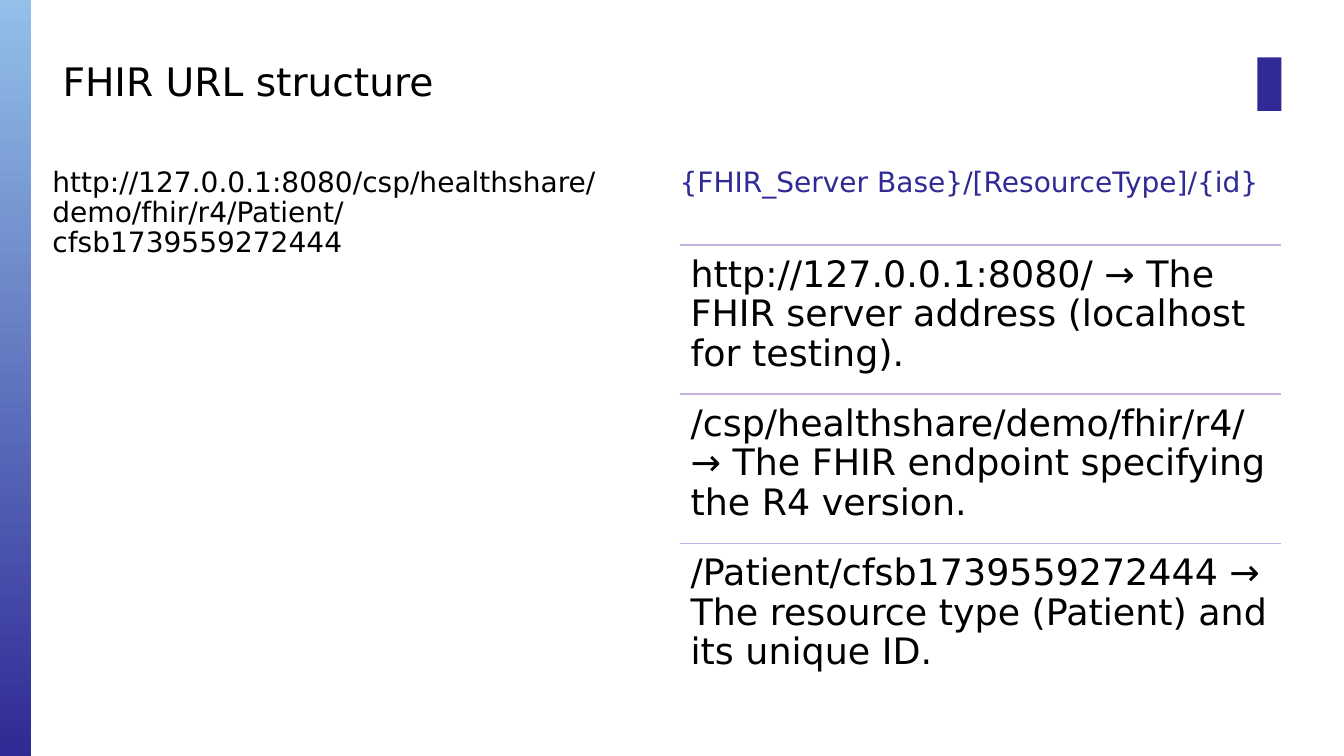
import pptx
import pptx.dml.color
import pptx.enum.shapes
import pptx.enum.text
import pptx.util
from pptx.util import Inches
import lxml.etree

FONT = "DejaVu Sans"
BLACK = "000000"
INDIGO = "2F2A95"
LEFT, TOP, WIDTH, STEP = 6.74, 2.43, 5.97, 1.48
PARTS = [
    "http://127.0.0.1:8080/ → The FHIR server address (localhost for testing).",
    "/csp/healthshare/demo/fhir/r4/ → The FHIR endpoint specifying the R4 version.",
    "/Patient/cfsb1739559272444 → The resource type (Patient) and its unique ID.",
]


def color(code):
    return pptx.dml.color.RGBColor.from_string(code)


def paint(slide, top, base):
    fill = slide.background.fill
    fill.gradient()
    fill.gradient_angle = 270
    for stop, code, place in zip(fill.gradient_stops, (top, base), (0, 1)):
        stop.color.rgb = color(code)
        stop.position = place


def add_block(slide, kind, box, code):
    block = slide.shapes.add_shape(kind, *map(Inches, box))
    block.shadow.inherit = False
    block.fill.solid()
    block.fill.fore_color.rgb = color(code)
    block.line.fill.background()


def set_text(shape, text, size, code=BLACK, inset=0,
             anchor=pptx.enum.text.MSO_ANCHOR.TOP):
    frame = shape.text_frame
    frame.text = text
    frame.word_wrap = True
    frame.auto_size = pptx.enum.text.MSO_AUTO_SIZE.NONE
    frame.vertical_anchor = anchor
    frame.margin_left = frame.margin_right = Inches(inset)
    frame.margin_top = frame.margin_bottom = Inches(inset)
    para = frame.paragraphs[0]
    para.alignment = pptx.enum.text.PP_ALIGN.LEFT
    para.line_spacing = 0.9
    para.space_before = pptx.util.Pt(0)
    para.font.name = FONT
    para.font.size = pptx.util.Pt(size)
    para.font.color.rgb = color(code)


def add_title(slide, text, box):
    title = slide.shapes.title
    title.left, title.top, title.width, title.height = map(Inches, box)
    set_text(title, text, 28, anchor=pptx.enum.text.MSO_ANCHOR.MIDDLE)
    slide.shapes.element.append(title.element)


def add_text(slide, text, box, size, code=BLACK, inset=0):
    set_text(slide.shapes.add_textbox(*map(Inches, box)), text, size, code, inset)


def add_rule(slide, left, top, width):
    rule = slide.shapes.add_connector(
        pptx.enum.shapes.MSO_CONNECTOR.STRAIGHT,
        Inches(left), Inches(top), Inches(left + width), Inches(top))
    rule.line.color.rgb = color("C5B4E2")
    rule.line.width = pptx.util.Pt(1)
    lxml.etree.SubElement(rule.element.spPr, pptx.oxml.ns.qn("a:effectLst"))


def main():
    deck = pptx.Presentation()
    deck.slide_width, deck.slide_height = Inches(13.33), Inches(7.5)
    slide = deck.slides.add_slide(deck.slide_layouts[5])
    paint(slide, "92C0E9", INDIGO)
    shapes = pptx.enum.shapes.MSO_SHAPE
    add_block(slide, shapes.RECTANGLE, (0.31, 0, 13.02, 7.5), "FFFFFF")
    add_block(slide, shapes.RECTANGLE, (12.47, 0.57, 0.24, 0.53), INDIGO)
    add_title(slide, "FHIR URL structure", (0.62, 0.42, 12.08, 0.83))
    add_text(
        slide,
        "http://127.0.0.1:8080/csp/healthshare/demo/fhir/r4/Patient/cfsb1739559272444",
        (0.52, 1.67, 5.71, 1.04), 20)
    add_text(slide, "{FHIR_Server Base}/[ResourceType]/{id}",
             (LEFT, 1.67, WIDTH, 0.62), 20, INDIGO)
    for row, text in enumerate(PARTS):
        top = TOP + row * STEP
        add_rule(slide, LEFT, top, WIDTH)
        add_text(slide, text, (LEFT, top, WIDTH, STEP), 26, inset=0.11)
    deck.save("out.pptx")


if __name__ == "__main__":
    main()
